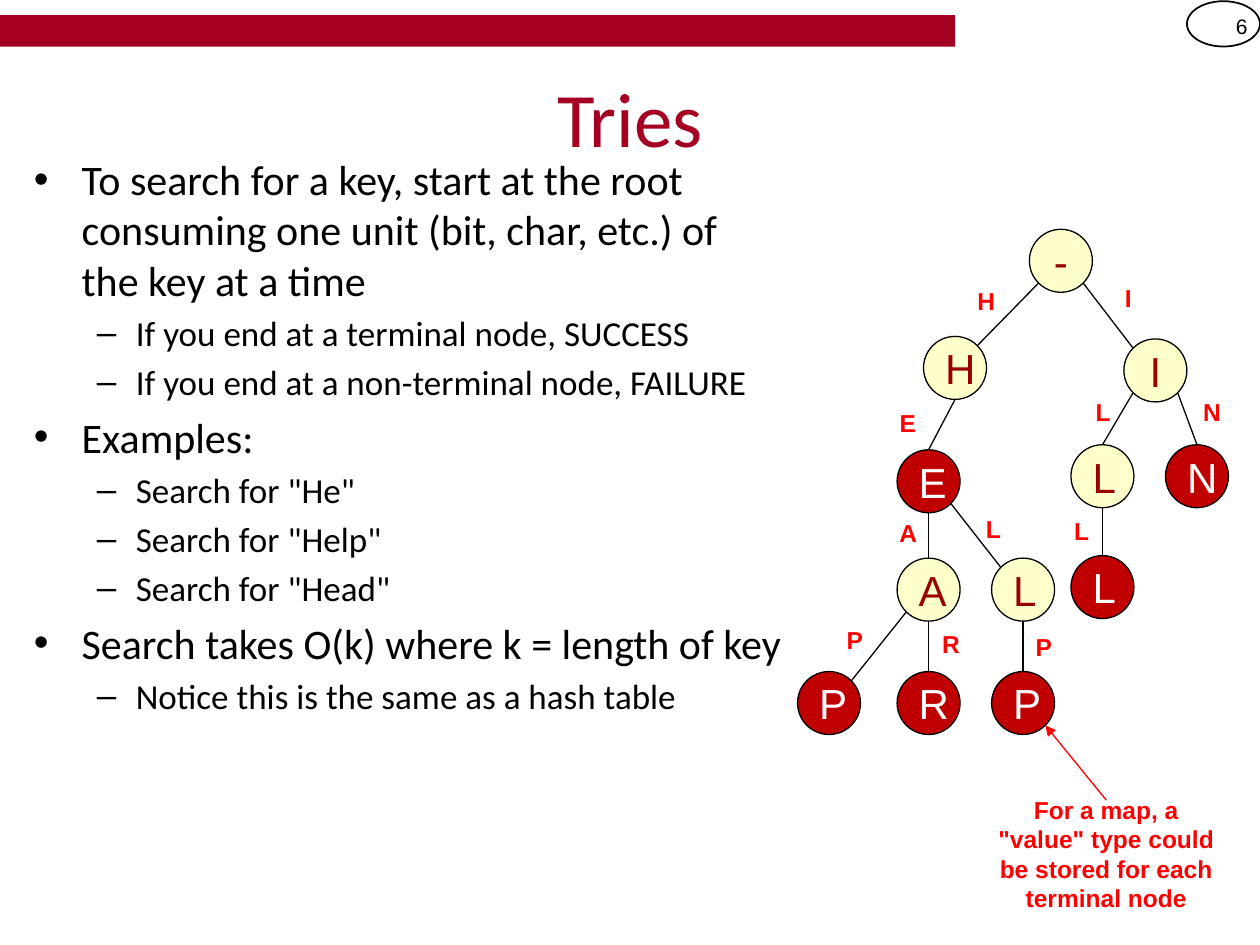
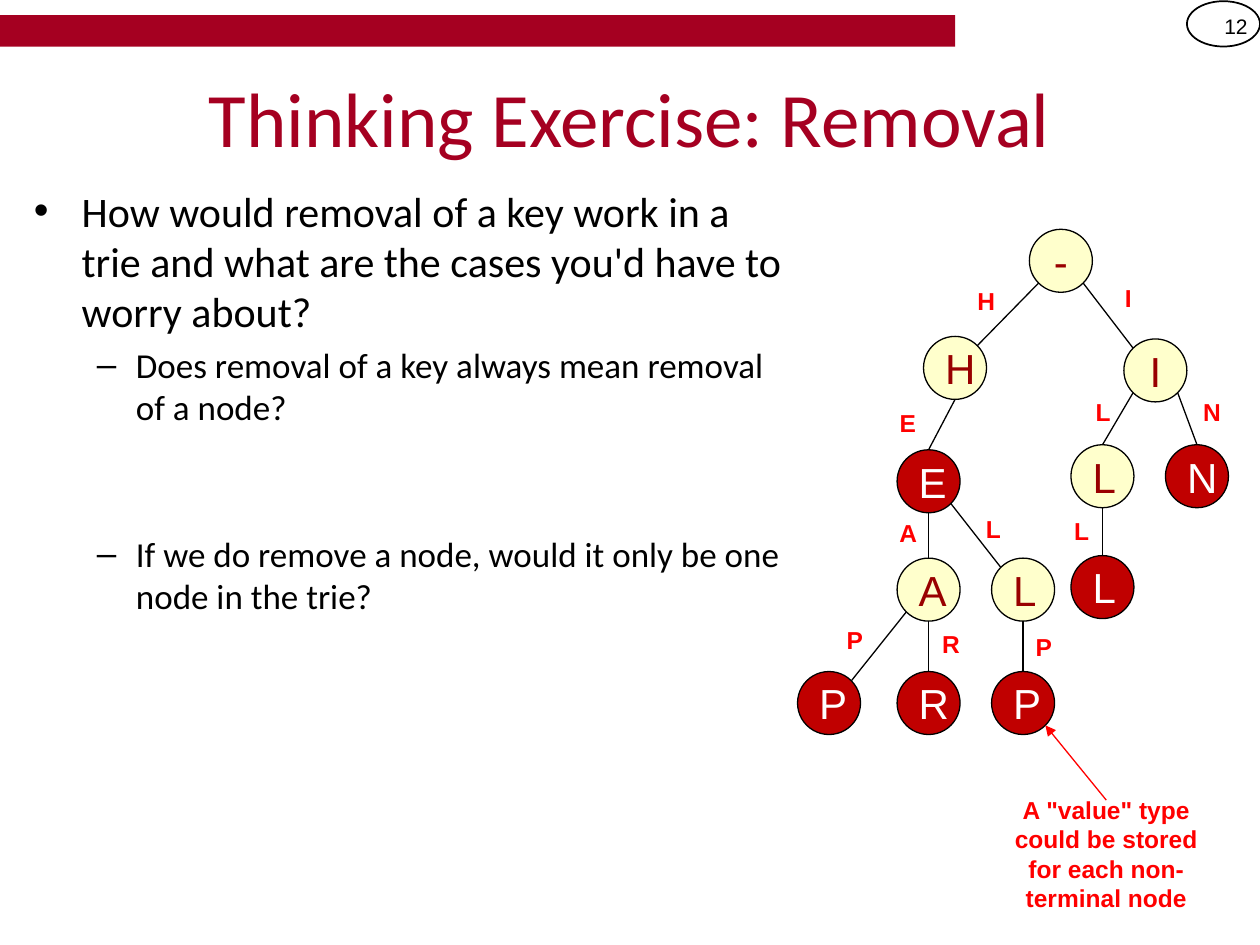
from math import cos, pi, sin

from pptx import Presentation
from pptx.dml.color import RGBColor
from pptx.enum.shapes import MSO_CONNECTOR, MSO_SHAPE
from pptx.enum.text import MSO_ANCHOR, PP_ALIGN
from pptx.oxml.ns import qn
from pptx.util import Inches, Pt

OVAL, RECT = MSO_SHAPE.OVAL, MSO_SHAPE.RECTANGLE
STRAIGHT = MSO_CONNECTOR.STRAIGHT
TOP, MIDDLE = MSO_ANCHOR.TOP, MSO_ANCHOR.MIDDLE
LEFT, MID, RIGHT = PP_ALIGN.LEFT, PP_ALIGN.CENTER, PP_ALIGN.RIGHT

CRIMSON = RGBColor(0xA5, 0x00, 0x21)
BLACK = RGBColor(0x00, 0x00, 0x00)
WHITE = RGBColor(0xFF, 0xFF, 0xFF)
CREAM = RGBColor(0xFF, 0xFF, 0xCC)
MAROON = RGBColor(0x99, 0x00, 0x00)
RED = RGBColor(0xFF, 0x00, 0x00)
DARK = RGBColor(0xC0, 0x00, 0x00)

TITLE = {"name": "Calibri", "size": Pt(44)}
NUMBER = {"name": "Arial", "size": Pt(12)}
NODE = {"name": "Arial", "size": Pt(24)}
LABEL = {"name": "Arial", "size": Pt(14), "bold": True}

# Outline levels: bullet, text size, left margin, hanging indent
LEVELS = [("•", 24, 0.38, -0.38), ("–", 20, 0.81, -0.31)]

# Points on a node's rim, counted anticlockwise from the top
SIZE = 0.5
RIM = [(SIZE / 2 * (1 - sin(k * pi / 4)), SIZE / 2 * (1 - cos(k * pi / 4)))
       for k in range(8)]
N, NW, W, SW, S, SE, E, NE = range(8)

# Each node is keyed by its prefix: place, and whether a word ends there
NODES = {
    "": (8.17, 1.82, False),
    "H": (7.33, 2.67, False),
    "I": (8.92, 2.69, False),
    "HE": (7.12, 3.57, True),
    "HEA": (7.12, 4.43, False),
    "HEAR": (7.12, 5.33, True),
    "HEAP": (6.33, 5.33, True),
    "HEL": (7.87, 4.43, False),
    "HELP": (7.87, 5.33, True),
    "IL": (8.5, 3.53, False),
    "IN": (9.25, 3.53, True),
    "ILL": (8.5, 4.41, True),
}

# Edge into each node: rim point on parent, rim point on child, label place
EDGES = {
    "H": (SW, NE, 7.66, 2.26),
    "I": (SE, NW, 8.79, 2.24),
    "HE": (S, N, 7.04, 3.23),
    "HEA": (S, N, 7.04, 4.1),
    "HEL": (SE, NW, 7.72, 4.07),
    "HEAP": (SW, NE, 6.62, 4.95),
    "HEAR": (S, N, 7.38, 4.98),
    "HELP": (S, N, 8.12, 5.01),
    "ILL": (S, N, 8.42, 4.09),
    "IL": (SW, N, 8.59, 3.14),
    "IN": (SE, N, 9.45, 3.14),
}

# Number, title, body top, body items (level, text, extra space before), note
SLIDES = [
    ("6", "Tries", 1.17, [
        (0, "To search for a key, start at the root consuming one unit "
            "(bit, char, etc.) of the key at a time", 0),
        (1, "If you end at a terminal node, SUCCESS", 0),
        (1, "If you end at a non-terminal node, FAILURE", 0),
        (0, "Examples:", 0),
        (1, 'Search for "He"', 0),
        (1, 'Search for "Help"', 0),
        (1, 'Search for "Head"', 0),
        (0, "Search takes O(k) where k = length of key", 0),
        (1, "Notice this is the same as a hash table", 0),
    ], 'For a map, a "value" type could be stored for each terminal node'),
    ("12", "Thinking Exercise: Removal", 1.42, [
        (0, "How would removal of a key work in a trie and what are the "
            "cases you'd have to worry about?", 0),
        (1, "Does removal of a key always mean removal of a node?", 0),
        (1, "If we do remove a node, would it only be one node in the trie?",
         56),
    ], 'A "value" type could be stored for each non-terminal node'),
]


def write(shape, text, color, align, form, wrap=True):
    """Fill a shape with one vertically centred paragraph."""
    frame = shape.text_frame
    frame.word_wrap, frame.vertical_anchor = wrap, MIDDLE
    par = frame.paragraphs[0]
    par.text, par.alignment = text, align
    font = par.runs[0].font
    font.color.rgb = color
    for key, value in form.items():
        setattr(font, key, value)


def link(slide, start, end, color):
    """Draw a thin straight line and return it."""
    line = slide.shapes.add_connector(
        STRAIGHT, *[Inches(v) for v in (*start, *end)])
    line.line.color.rgb, line.line.width = color, Pt(0.75)
    props = line._element.spPr
    props.append(props.makeelement(qn("a:effectLst"), {}))
    return line


deck = Presentation()
deck.slide_width, deck.slide_height = Inches(10), Inches(7.5)

for number, title, top, items, note in SLIDES:
    slide = deck.slides.add_slide(deck.slide_layouts[6])
    shapes = slide.shapes

    # Band, slide number and title
    band = shapes.add_shape(RECT, 0, Inches(0.12), Inches(7.58), Inches(0.25))
    band.shadow.inherit = False
    band.fill.solid()
    band.fill.fore_color.rgb = CRIMSON
    band.line.fill.background()

    ring = shapes.add_shape(
        OVAL, Inches(9.42), Inches(0.01), Inches(0.58), Inches(0.36))
    ring.shadow.inherit = False
    ring.fill.background()
    ring.line.color.rgb, ring.line.width = BLACK, Pt(1)

    box = shapes.add_textbox(
        Inches(9.42), Inches(0.01), Inches(0.58), Inches(0.4))
    write(box, number, BLACK, RIGHT, NUMBER)
    box = shapes.add_textbox(Inches(0.5), Inches(0.3), Inches(9), Inches(1.25))
    write(box, title, CRIMSON, MID, TITLE)

    # Outline text
    body = shapes.add_textbox(
        Inches(0.17), Inches(top), Inches(6.15), Inches(7 - top)).text_frame
    body.word_wrap, body.vertical_anchor = True, TOP
    for i, (level, text, extra) in enumerate(items):
        mark, size, margin, indent = LEVELS[level]
        par = body.add_paragraph() if i else body.paragraphs[0]
        par.text, par.level, par.alignment = text, level, LEFT
        par.space_before = Pt(0.2 * size + extra)
        font = par.runs[0].font
        font.name, font.size, font.color.rgb = "Calibri", Pt(size), BLACK
        props = par._p.get_or_add_pPr()
        props.set("marL", str(Inches(margin)))
        props.set("indent", str(Inches(indent)))
        for tag, attrs in (("a:buFont", {"typeface": "Arial"}),
                           ("a:buChar", {"char": mark})):
            props.append(props.makeelement(qn(tag), attrs))

    # Trie
    for prefix, (x, y, ends) in NODES.items():
        node = shapes.add_shape(
            OVAL, Inches(x), Inches(y), Inches(SIZE), Inches(SIZE))
        node.shadow.inherit = False
        node.fill.solid()
        node.fill.fore_color.rgb = DARK if ends else CREAM
        node.line.color.rgb, node.line.width = BLACK, Pt(0.75)
        write(node, prefix[-1:] or "-", WHITE if ends else MAROON, MID, NODE)

    for prefix, (out, into, x, y) in EDGES.items():
        start, end = [
            (NODES[key][0] + RIM[k][0], NODES[key][1] + RIM[k][1])
            for key, k in ((prefix[:-1], out), (prefix, into))]
        link(slide, start, end, BLACK)
        box = shapes.add_textbox(
            Inches(x), Inches(y), Inches(0.33), Inches(0.25))
        write(box, prefix[-1], RED, MID, LABEL, wrap=False)

    # Note on the stored value
    box = shapes.add_textbox(
        Inches(7.8), Inches(6.35), Inches(1.96), Inches(0.85))
    write(box, note, RED, MID, LABEL)
    x, y, _ = NODES["HELP"]
    arrow = link(slide, (8.78, 6.35), (x + RIM[SE][0], y + RIM[SE][1]), RED)
    ln = arrow.line._get_or_add_ln()
    ln.append(ln.makeelement(qn("a:tailEnd"), {"type": "triangle"}))

deck.save("out.pptx")
